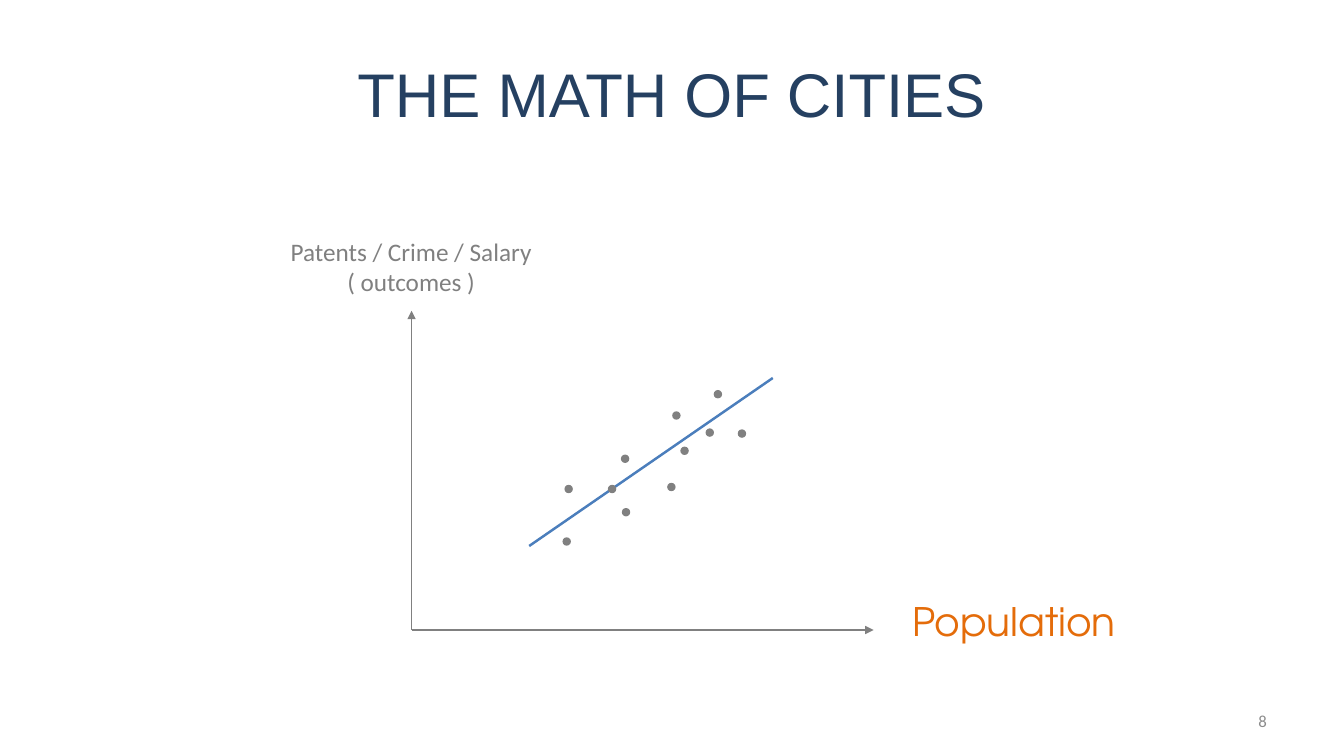
from lxml import etree
from pptx import Presentation
from pptx.dml.color import RGBColor
from pptx.enum.shapes import MSO_CONNECTOR, MSO_SHAPE
from pptx.enum.text import MSO_ANCHOR, MSO_AUTO_SIZE, PP_ALIGN
from pptx.oxml.ns import qn
from pptx.util import Pt

LEFT, CENTER, RIGHT = PP_ALIGN.LEFT, PP_ALIGN.CENTER, PP_ALIGN.RIGHT
TOP, MIDDLE = MSO_ANCHOR.TOP, MSO_ANCHOR.MIDDLE
FIT_SHAPE, NO_FIT = MSO_AUTO_SIZE.SHAPE_TO_FIT_TEXT, MSO_AUTO_SIZE.NONE
STRAIGHT = MSO_CONNECTOR.STRAIGHT
OVAL = MSO_SHAPE.OVAL

COLORS = {
    "title": "254061",
    "gray": "808080",
    "number": "8C8C8C",
    "trend": "4B7EBC",
    "accent": "E46C0A",
}

SLIDE_W, SLIDE_H = 960, 540
ORIGIN = (294, 450)
AXIS_ENDS = [(624, 450), (294, 222)]
DOT_SIZE = 6
# Centres of the scattered cities
CITIES = [
    (404.8, 386.8), (406.2, 349.3), (447.2, 365.9), (446.5, 327.7),
    (437.2, 349.3), (483.2, 296.8), (479.6, 347.9), (489, 322),
    (507, 309), (512.8, 281.6), (530, 309.7),
]


class SlideBuilder:
    def __init__(self, slide, colors):
        self.slide = slide
        self.colors = colors

    def color(self, name):
        return RGBColor.from_string(self.colors[name])

    def text(self, box, lines, size, font, color, align=LEFT, anchor=TOP,
             wrap=True):
        frame = self.slide.shapes.add_textbox(*map(Pt, box)).text_frame
        frame.word_wrap = wrap
        frame.auto_size = NO_FIT if wrap else FIT_SHAPE
        frame.vertical_anchor = anchor
        for index, line in enumerate(lines):
            paragraph = frame.add_paragraph() if index else frame.paragraphs[0]
            paragraph.alignment = align
            run = paragraph.add_run()
            run.text = line
            run.font.size = Pt(size)
            run.font.name = font
            run.font.color.rgb = self.color(color)

    def line(self, start, end, color, width, arrow=False):
        connector = self.slide.shapes.add_connector(
            STRAIGHT, *map(Pt, (*start, *end)))
        connector.line.color.rgb = self.color(color)
        connector.line.width = Pt(width)
        if arrow:
            outline = connector.line._get_or_add_ln()
            etree.SubElement(outline, qn("a:tailEnd"), type="triangle")
        etree.SubElement(connector._element.spPr, qn("a:effectLst"))

    def dot(self, center, diameter, color):
        x, y = (value - diameter / 2 for value in center)
        dot = self.slide.shapes.add_shape(
            OVAL, Pt(x), Pt(y), Pt(diameter), Pt(diameter))
        dot.shadow.inherit = False
        dot.fill.solid()
        dot.fill.fore_color.rgb = self.color(color)
        dot.line.fill.background()


def main():
    presentation = Presentation()
    presentation.slide_width = Pt(SLIDE_W)
    presentation.slide_height = Pt(SLIDE_H)
    slide = presentation.slides.add_slide(presentation.slide_layouts[6])
    builder = SlideBuilder(slide, COLORS)

    # Title and slide number
    builder.text((48, 21.6, 864, 90), ["THE MATH OF CITIES"], 44, "Arial",
                 "title", CENTER, MIDDLE)
    builder.text((688, 500.5, 224, 28.75), ["8"], 12, "Calibri", "number",
                 RIGHT, MIDDLE)

    # Axes and trend line
    for axis_end in AXIS_ENDS:
        builder.line(ORIGIN, axis_end, "gray", 0.75, arrow=True)
    builder.line((378, 390), (552, 270), "trend", 1.75)

    # Axis labels
    builder.text((644.4, 423.4, 162.7, 41), ["Population"], 28,
                 "TeX Gyre Adventor", "accent", wrap=False)
    builder.text((199.4, 164.9, 188.6, 51),
                 ["Patents / Crime / Salary", "( outcomes )"], 18, "Calibri",
                 "gray", CENTER, wrap=False)

    # Cities
    for city in CITIES:
        builder.dot(city, DOT_SIZE, "gray")

    presentation.save("out.pptx")


if __name__ == "__main__":
    main()
